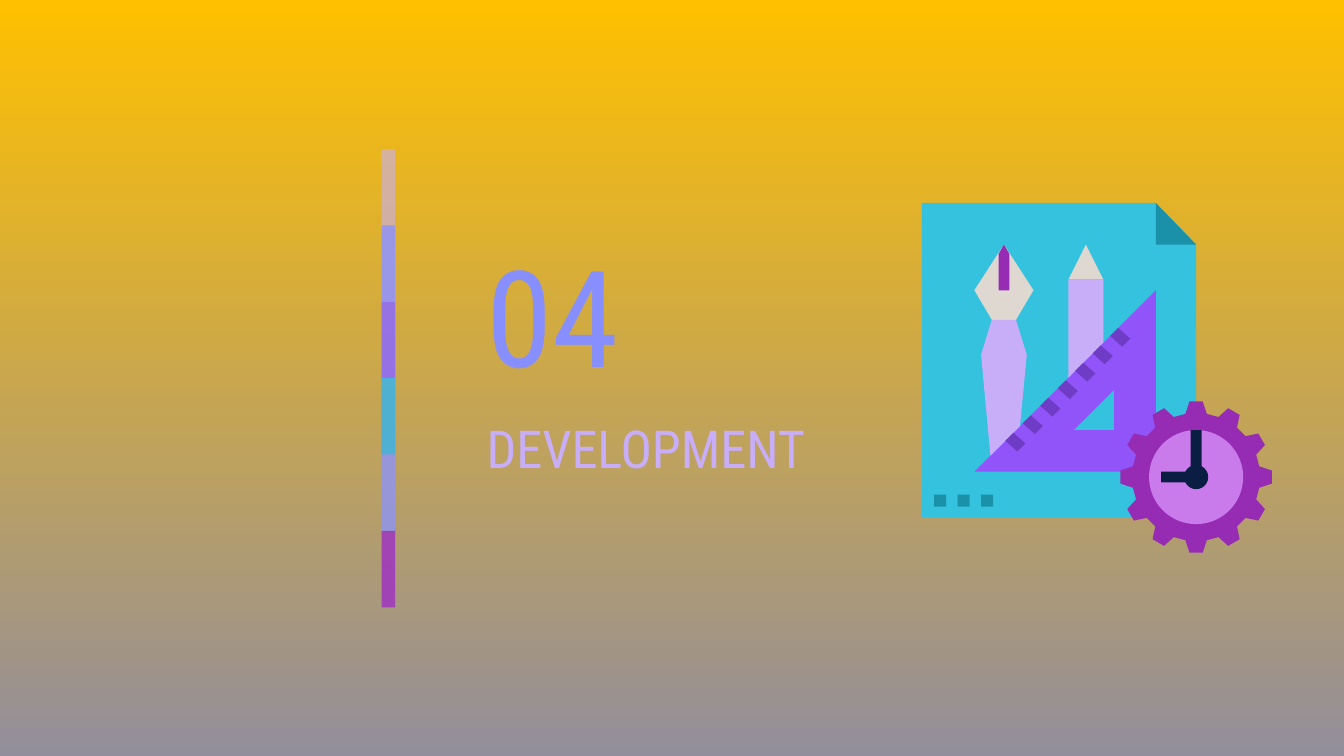
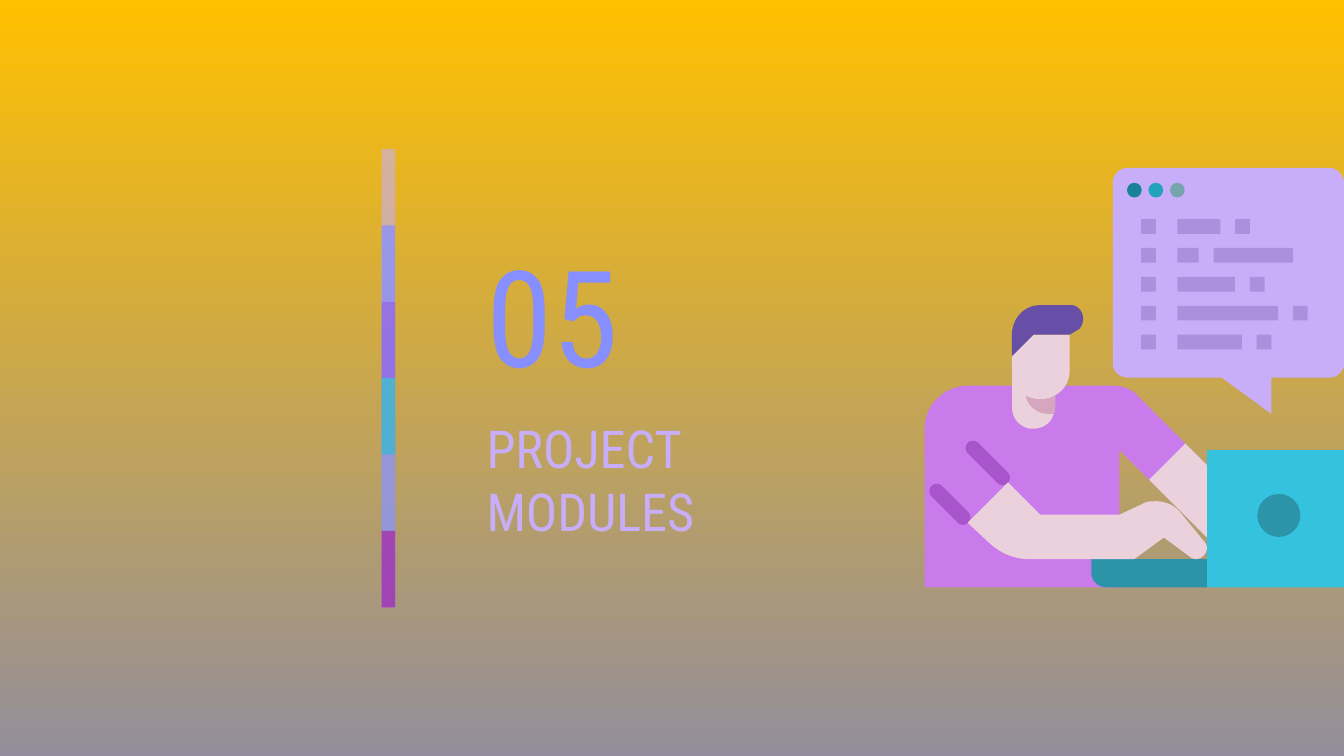
from math import cos, radians, sin

from lxml.etree import SubElement
from pptx import Presentation
from pptx.dml.color import RGBColor
from pptx.enum.shapes import MSO_SHAPE
from pptx.enum.text import MSO_ANCHOR, MSO_AUTO_SIZE, PP_ALIGN
from pptx.oxml.ns import qn
from pptx.util import Inches, Pt

FONT = "Roboto Condensed"
COLORS = {
    "sky": "FFC000", "ground": "938E9B",
    "lilac": "C8AEF8", "periwinkle": "878FFF", "violet": "9154F8",
    "cyan": "35C2DF", "orchid": "CA7BEB", "purple": "972CB4",
    "fold": "1B91A9", "cream": "DED8D0", "navy": "0A1D42", "mark": "6F3CC6",
    "sleeve": "A855CB", "laptop": "2B94A9", "skin": "EAD1DC", "neck": "D5A6BD",
    "hair": "674EA7", "code": "AB90DE",
    "dot_dark": "198298", "dot_mid": "22A2BC", "dot_gray": "76A5AF",
}
BARS = [("lilac", 59), ("periwinkle", 74), ("violet", 53),
        ("cyan", 76), ("orchid", 56), ("purple", 74)]


def rgb(name):
    return RGBColor.from_string(COLORS[name])


def flatten(outline, steps=10):
    """Turn an outline into points: pairs are corners, sextets are Bezier curves."""
    points = []
    for node in outline:
        if len(node) == 2:
            points.append(node)
            continue
        start, first, second, end = points[-1], node[:2], node[2:4], node[4:]
        for step in range(1, steps + 1):
            t = step / steps
            u = 1 - t
            points.append(tuple(
                u**3 * a + 3 * u * u * t * b + 3 * u * t * t * c + t**3 * d
                for a, b, c, d in zip(start, first, second, end)))
    return [(Inches(x), Inches(y)) for x, y in points]


def write(frame, text, size, color, anchor=MSO_ANCHOR.TOP):
    frame.word_wrap = True
    frame.auto_size = MSO_AUTO_SIZE.NONE
    frame.vertical_anchor = anchor
    frame.margin_left = frame.margin_right = Inches(0.1)
    frame.margin_top = frame.margin_bottom = Inches(0.1)
    para = frame.paragraphs[0]
    para.alignment = PP_ALIGN.LEFT
    span = para.add_run()
    span.text = text
    span.font.name = FONT
    span.font.size = Pt(size)
    span.font.color.rgb = rgb(color)


class Painter:
    def __init__(self, deck):
        self.deck = deck
        self.page = None
        self.shapes = None

    def section(self, number, name):
        """Start a section slide with its gradient, number and name."""
        self.page = self.deck.slides.add_slide(self.deck.slide_layouts[5])
        fill = self.page.background.fill
        fill.gradient()
        fill.gradient_angle = 270
        for stop, color, position in zip(fill.gradient_stops, ("sky", "ground"), (0, 1)):
            stop.color.rgb = rgb(color)
            stop.position = position
        box = self.page.shapes.add_textbox(
            Inches(3.52), Inches(1.66), Inches(1.75), Inches(1.35))
        write(box.text_frame, number, 72, "periwinkle", MSO_ANCHOR.MIDDLE)
        title = self.page.shapes.title
        title.left, title.top = Inches(3.52), Inches(3)
        title.width, title.height = Inches(2.87), Inches(0.96)
        write(title.text_frame, name, 28, "lilac")

    def group(self):
        self.shapes = self.page.shapes.add_group_shape().shapes

    def paint(self, shape, color, alpha=None):
        shape.shadow.inherit = False
        shape.fill.solid()
        shape.fill.fore_color.rgb = rgb(color)
        shape.line.fill.background()
        if alpha is not None:
            tint = shape._element.spPr.find(qn("a:solidFill")).find(qn("a:srgbClr"))
            SubElement(tint, qn("a:alpha")).set("val", str(alpha * 1000))

    def rect(self, left, top, width, height, color, alpha=None):
        shape = self.shapes.add_shape(MSO_SHAPE.RECTANGLE, Inches(left), Inches(top),
                                      Inches(width), Inches(height))
        self.paint(shape, color, alpha)

    def circle(self, x, y, radius, color):
        shape = self.shapes.add_shape(MSO_SHAPE.OVAL, Inches(x - radius), Inches(y - radius),
                                      Inches(2 * radius), Inches(2 * radius))
        self.paint(shape, color)

    def outline(self, color, *outlines):
        builder = None
        for points in map(flatten, outlines):
            if builder is None:
                builder = self.shapes.build_freeform(*points[0], scale=1.0)
            else:
                builder.move_to(*points[0])
            builder.add_line_segments(points[1:], close=True)
        self.paint(builder.convert_to_shape(), color)

    def side_bars(self):
        """Overlapping translucent bars; the last one is half as tall."""
        self.group()
        for index, (color, alpha) in enumerate(BARS):
            height = 0.57 if index == len(BARS) - 1 else 1.14
            self.rect(2.84, 1.11 + 0.568 * index, 0.1, height, color, alpha)


def gear(x, y, root=0.477, tip=0.565, teeth=12):
    corners = [(root, -9.6), (tip, -5), (tip, 5), (root, 9.6)]
    points = []
    for tooth in range(teeth):
        for radius, offset in corners:
            angle = radians(360 / teeth * tooth + offset)
            points.append((x + radius * sin(angle), y - radius * cos(angle)))
    return points


def capsule(x, y, reach, radius=0.055):
    """A round-ended diagonal bar from (x, y) down to the right by reach."""
    points = []
    for center_x, center_y, start in [(x, y, 135), (x + reach, y + reach, -45)]:
        for step in range(0, 181, 15):
            angle = radians(start + step)
            points.append((center_x + radius * cos(angle), center_y + radius * sin(angle)))
    return points


def draw_design_sheet(art):
    art.group()
    # Sheet with folded corner
    art.outline("cyan", [(6.86, 1.51), (6.86, 3.85), (8.9, 3.85), (8.9, 1.82), (8.6, 1.51)])
    art.outline("fold", [(8.6, 1.51), (8.6, 1.82), (8.9, 1.82)])
    # Set square with its opening
    art.outline("violet", [(8.29, 2.9), (8.29, 3.2), (7.99, 3.2)],
                [(8.6, 2.16), (7.25, 3.51), (8.6, 3.51)])
    art.outline("purple", gear(8.9, 3.55))
    # Pencil and pen
    art.outline("cream", [(8.08, 1.82), (7.95, 2.08), (8.21, 2.08)])
    art.outline("lilac", [(7.95, 2.08), (7.95, 2.81), (8.21, 2.55), (8.21, 2.08)])
    art.outline("cream", [(7.47, 1.82), (7.25, 2.16), (7.38, 2.38), (7.56, 2.38), (7.69, 2.16)])
    art.outline("lilac", [(7.38, 2.38), (7.3, 2.64), (7.37, 3.39), (7.59, 3.17),
                          (7.64, 2.64), (7.56, 2.38)])
    # Clock
    art.circle(8.9, 3.55, 0.35, "orchid")
    art.outline("navy", [(8.86, 3.2), (8.86, 3.51), (8.64, 3.51), (8.64, 3.59),
                         (8.94, 3.59), (8.94, 3.2)])
    art.circle(8.9, 3.55, 0.09, "navy")
    # Slit of the pen
    art.outline("purple", [(7.47, 1.82), (7.43, 1.89), (7.43, 2.16), (7.51, 2.16), (7.51, 1.89)])
    # Ruler marks and page dots
    for index in range(7):
        x, y = 7.48 + 0.13 * index, 3.28 - 0.13 * index
        art.outline("mark", [(x + 0.06, y - 0.06), (x, y), (x + 0.09, y + 0.08),
                             (x + 0.15, y + 0.02)])
    for index in range(3):
        art.rect(6.95 + 0.175 * index, 3.68, 0.09, 0.09, "fold")


def draw_programmer(art):
    art.group()
    # Shirt and sleeve folds
    art.outline("orchid", [(7.2, 2.87), (7.03, 2.87, 6.88, 3.01, 6.88, 3.19), (6.88, 4.37),
                           (8.33, 4.37), (8.33, 3.35), (8.98, 4), (8.98, 3.46), (8.47, 2.95),
                           (8.42, 2.89, 8.35, 2.87, 8.28, 2.87)])
    art.outline("sleeve", capsule(6.97, 3.655, 0.195))
    art.outline("sleeve", capsule(7.24, 3.335, 0.22))
    # Laptop
    art.rect(8.98, 3.35, 1.02, 1.02, "cyan")
    art.outline("laptop", [(8.12, 4.16), (8.12, 4.26), (8.12, 4.32, 8.17, 4.37, 8.23, 4.37),
                           (8.98, 4.37), (8.98, 4.16)])
    # Neck and its shade
    art.outline("skin", [(7.53, 2.71), (7.53, 3.03), (7.53, 3.11, 7.58, 3.17, 7.66, 3.19),
                         (7.67, 3.19, 7.68, 3.19, 7.69, 3.19),
                         (7.76, 3.19, 7.82, 3.15, 7.84, 3.08),
                         (7.85, 3.06, 7.85, 3.05, 7.85, 3.03), (7.85, 2.71)])
    art.outline("neck", [(7.63, 2.71), (7.63, 2.92), (7.63, 3.01, 7.71, 3.08, 7.8, 3.08),
                         (7.84, 3.08), (7.85, 3.06, 7.85, 3.05, 7.85, 3.03), (7.85, 2.71)])
    # Arms and the lid's emblem
    art.outline("skin", [(7.5, 3.59), (7.2, 3.89), (7.35, 4.03),
                         (7.43, 4.11, 7.54, 4.16, 7.65, 4.16), (8.44, 4.16), (8.66, 4),
                         (8.85, 4.14), (8.86, 4.15, 8.88, 4.16, 8.9, 4.16),
                         (8.94, 4.16, 8.98, 4.12, 8.98, 4.08),
                         (8.98, 4.06, 8.97, 4.04, 8.96, 4.03), (8.78, 3.81),
                         (8.74, 3.76, 8.67, 3.73, 8.6, 3.73),
                         (8.57, 3.73, 8.53, 3.73, 8.5, 3.75), (8.33, 3.83), (7.74, 3.83)])
    art.outline("skin", [(8.82, 3.3), (8.55, 3.57), (8.98, 4), (8.98, 3.46)])
    art.circle(9.515, 3.835, 0.16, "laptop")
    # Speech bubble with code lines
    art.outline("lilac", [(8.39, 1.25), (8.33, 1.25, 8.28, 1.3, 8.28, 1.36), (8.28, 2.71),
                          (8.28, 2.76, 8.33, 2.81, 8.39, 2.81), (9.09, 2.81), (9.46, 3.08),
                          (9.46, 2.81), (9.89, 2.81), (9.95, 2.81, 10, 2.76, 10, 2.71),
                          (10, 1.36), (10, 1.3, 9.95, 1.25, 9.89, 1.25)])
    code_rows = [
        [(8.76, 0.32), (9.19, 0.11)],
        [(8.76, 0.16), (9.03, 0.59)],
        [(8.76, 0.43), (9.3, 0.11)],
        [(8.76, 0.75), (9.62, 0.11)],
        [(8.76, 0.48), (9.35, 0.11)],
    ]
    for index, words in enumerate(code_rows):
        for left, width in [(8.49, 0.11)] + words:
            art.rect(left, 1.63 + 0.215 * index, width, 0.11, "code")
    # Head and hair
    art.outline("skin", [(7.69, 2.49), (7.53, 2.65), (7.53, 2.76),
                         (7.53, 2.88, 7.62, 2.97, 7.74, 2.97),
                         (7.86, 2.97, 7.96, 2.88, 7.96, 2.76), (7.96, 2.49)])
    art.outline("hair", [(7.74, 2.27), (7.62, 2.27, 7.53, 2.37, 7.53, 2.49), (7.53, 2.65),
                         (7.69, 2.49), (7.96, 2.49), (8.01, 2.46),
                         (8.04, 2.45, 8.06, 2.41, 8.06, 2.37),
                         (8.06, 2.32, 8.02, 2.27, 7.97, 2.27)])
    # Window dots
    for index, color in enumerate(["dot_dark", "dot_mid", "dot_gray"]):
        art.circle(8.44 + 0.16 * index, 1.415, 0.055, color)


def main():
    deck = Presentation()
    deck.slide_width, deck.slide_height = Inches(10), Inches(5.625)
    art = Painter(deck)
    for number, name, draw in [("04", "DEVELOPMENT", draw_design_sheet),
                               ("05", "PROJECT MODULES", draw_programmer)]:
        art.section(number, name)
        draw(art)
        art.side_bars()
    deck.save("out.pptx")


if __name__ == "__main__":
    main()
